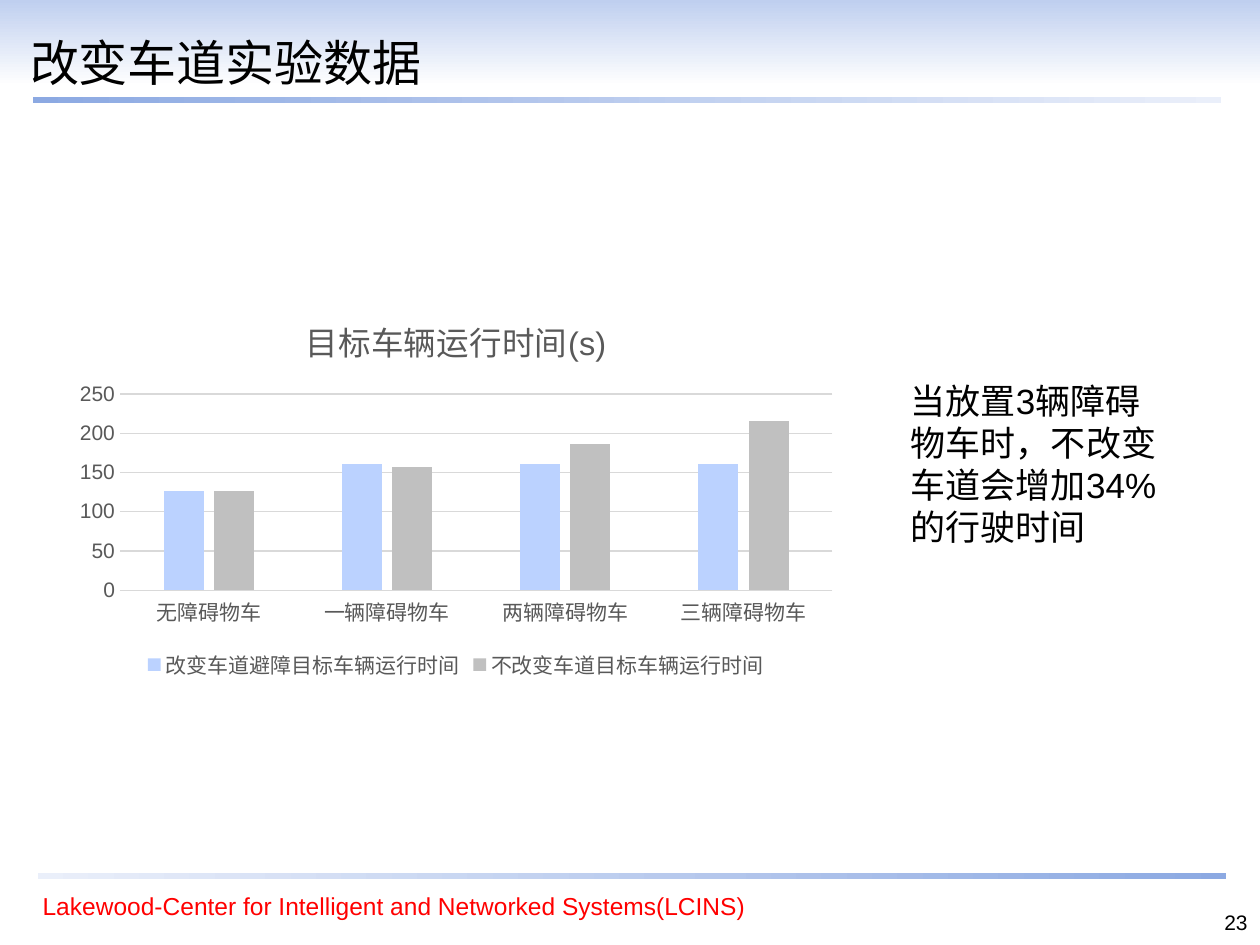
from dataclasses import dataclass

from pptx import Presentation
from pptx.chart.data import CategoryChartData
from pptx.dml.color import RGBColor
from pptx.enum.chart import XL_CHART_TYPE as ChartType
from pptx.enum.chart import XL_LEGEND_POSITION as LegendPosition
from pptx.enum.chart import XL_TICK_MARK as TickMark
from pptx.enum.shapes import MSO_SHAPE as Shape
from pptx.enum.text import MSO_ANCHOR as Anchor
from pptx.enum.text import PP_ALIGN as Align
from pptx.util import Inches, Pt


@dataclass(frozen=True)
class Theme:
    font: str = "Arial"
    ink: str = "000000"
    accent: str = "FF0000"
    muted: str = "595959"
    grid: str = "D9D9D9"
    paper: str = "FFFFFF"
    header: str = "BFCFEF"
    rule_dark: str = "8CA9E2"
    rule_light: str = "EAEFFA"
    series: tuple = ("BBD2FF", "C0C0C0")
    title_size: float = 28
    body_size: float = 20
    footer_size: float = 14
    number_size: float = 12
    chart_size: float = 12
    chart_title_size: float = 18.6


class SlideBuilder:
    def __init__(self, slide, theme):
        self.slide = slide
        self.theme = theme

    def style(self, font, size, color):
        font.name = self.theme.font
        font.size = Pt(size)
        font.color.rgb = RGBColor.from_string(color)

    def band(self, left, top, width, height, start, end, angle=0):
        """Add a borderless gradient bar; the angle runs counter-clockwise."""
        bar = self.slide.shapes.add_shape(
            Shape.RECTANGLE, Inches(left), Inches(top), Inches(width), Inches(height))
        bar.shadow.inherit = False
        bar.line.fill.background()
        bar.fill.gradient()
        bar.fill.gradient_angle = angle
        for stop, color, position in zip(bar.fill.gradient_stops, (start, end), (0, 1)):
            stop.color.rgb = RGBColor.from_string(color)
            stop.position = position

    def text(self, left, top, width, height, words, size, color=None,
             align=Align.LEFT, anchor=Anchor.TOP):
        frame = self.slide.shapes.add_textbox(
            Inches(left), Inches(top), Inches(width), Inches(height)).text_frame
        frame.word_wrap = True
        frame.vertical_anchor = anchor
        paragraph = frame.paragraphs[0]
        paragraph.text = words
        paragraph.alignment = align
        self.style(paragraph.font, size, color or self.theme.ink)

    def column_chart(self, left, top, width, height, title, categories, series):
        theme = self.theme
        data = CategoryChartData()
        data.categories = categories
        for name, values in series.items():
            data.add_series(name, values)
        chart = self.slide.shapes.add_chart(
            ChartType.COLUMN_CLUSTERED, Inches(left), Inches(top),
            Inches(width), Inches(height), data).chart
        self.style(chart.font, theme.chart_size, theme.muted)

        heading = chart.chart_title.text_frame.paragraphs[0]
        heading.text = title
        self.style(heading.font, theme.chart_title_size, theme.muted)
        heading.font.bold = False
        chart.chart_title.include_in_layout = False

        chart.has_legend = True
        chart.legend.position = LegendPosition.BOTTOM
        chart.legend.include_in_layout = False
        self.style(chart.legend.font, theme.chart_size, theme.muted)

        plot = chart.plots[0]
        plot.vary_by_categories = False
        plot.gap_width = 219
        plot.overlap = -27
        for columns, color in zip(plot.series, theme.series):
            columns.format.fill.solid()
            columns.format.fill.fore_color.rgb = RGBColor.from_string(color)

        for axis in (chart.category_axis, chart.value_axis):
            axis.major_tick_mark = axis.minor_tick_mark = TickMark.NONE
            self.style(axis.tick_labels.font, theme.chart_size, theme.muted)
        value_axis = chart.value_axis
        value_axis.minimum_scale, value_axis.maximum_scale = 0, 250
        value_axis.major_unit = 50
        value_axis.format.line.fill.background()
        for line in (chart.category_axis.format.line,
                     value_axis.major_gridlines.format.line):
            line.color.rgb = RGBColor.from_string(theme.grid)
            line.width = Pt(0.75)


def main():
    deck = Presentation()
    deck.slide_width, deck.slide_height = Inches(10), Inches(7.5)
    theme = Theme()
    page = SlideBuilder(deck.slides.add_slide(deck.slide_layouts[6]), theme)

    page.band(0, 0, 10, 0.68, theme.header, theme.paper, angle=270)
    page.band(0.26, 0.77, 9.43, 0.05, theme.rule_dark, theme.rule_light)
    page.band(0.3, 6.93, 9.43, 0.05, theme.rule_light, theme.rule_dark)

    page.text(0.24, 7.02, 6.2, 0.34,
              "Lakewood-Center for Intelligent and Networked Systems(LCINS)",
              theme.footer_size, theme.accent)
    page.text(0.14, 0.24, 9.51, 0.5, "改变车道实验数据",
              theme.title_size, anchor=Anchor.MIDDLE)
    page.text(7.92, 7.17, 2.08, 0.33, "23", theme.number_size, align=Align.RIGHT)

    page.column_chart(
        0.51, 2.33, 6.22, 3.11, "目标车辆运行时间(s)",
        ["无障碍物车", "一辆障碍物车", "两辆障碍物车", "三辆障碍物车"],
        {"改变车道避障目标车辆运行时间": (127, 161, 161, 161),
         "不改变车道目标车辆运行时间": (127, 157, 186, 216)})
    page.text(7.13, 2.96, 2.28, 1.45,
              "当放置3辆障碍物车时，不改变车道会增加34%的行驶时间", theme.body_size)

    deck.save("out.pptx")


if __name__ == "__main__":
    main()
